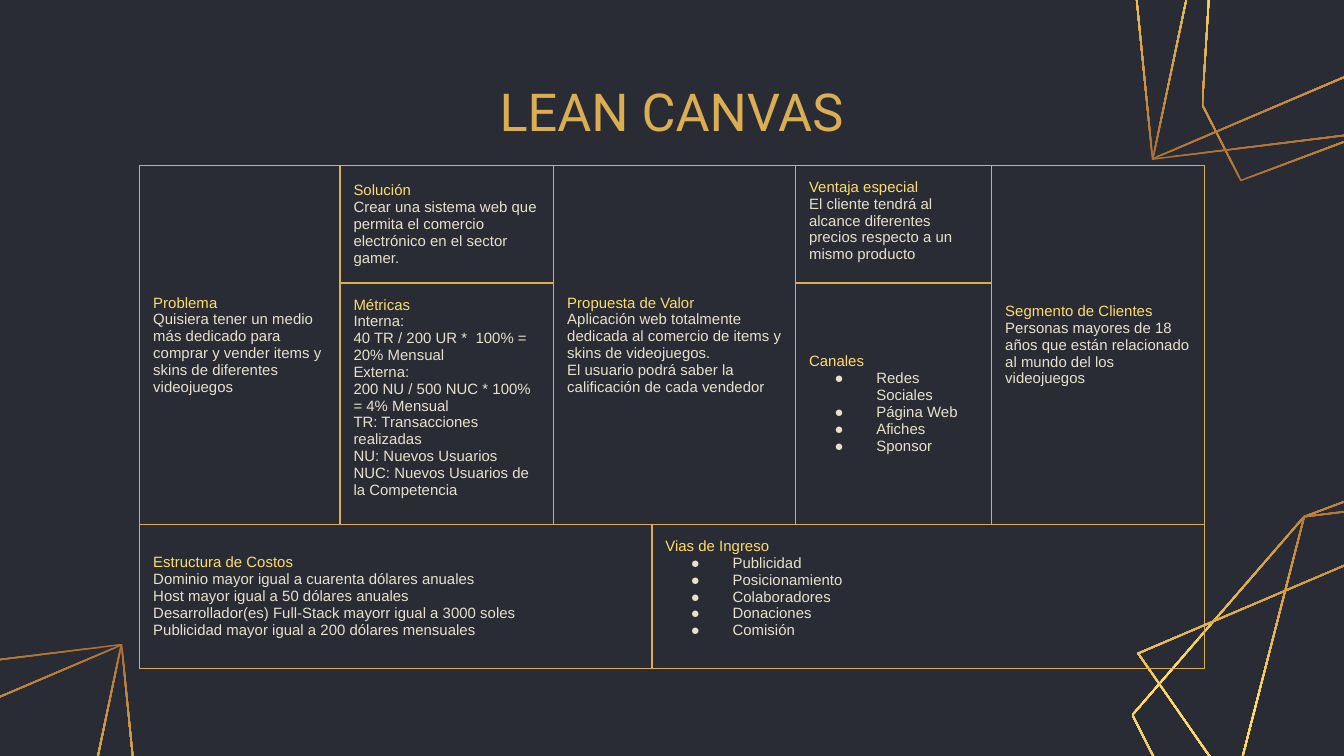
import math

import lxml.etree
import pptx
import pptx.dml.color
import pptx.enum.text
import pptx.oxml.ns
import pptx.util

Pt = pptx.util.Pt
RGBColor = pptx.dml.color.RGBColor
qn = pptx.oxml.ns.qn
MIDDLE = pptx.enum.text.MSO_ANCHOR.MIDDLE
TOP = pptx.enum.text.MSO_ANCHOR.TOP

NIGHT = RGBColor(0x29, 0x2C, 0x35)
BRONZE = RGBColor(0xAF, 0x71, 0x32)
YELLOW = RGBColor(0xFF, 0xDD, 0x6B)
GOLD = RGBColor(0xDC, 0xAE, 0x52)
CREAM = RGBColor(0xE9, 0xE2, 0xC9)

LINE_WIDTH = 0.8
HEXAGON = [(649.4, 468), (606.2, 383), (698.4, 276.5),
           (767.5, 250.6), (788.4, 291.6), (779.8, 429.8)]
PENTAGON = [(712.1, 497.5), (649.4, 467.3), (698.4, 276.5),
            (815, 262.1), (779.8, 429.8)]
QUADRILATERAL = [(712.1, 498.2), (609.1, 349.9), (815, 262.1), (824.4, 356.4)]

COLUMN_WIDTHS = [107.3, 114.5, 52.6, 77, 105.1, 113.8]
ROW_HEIGHTS = [63, 122, 77]

# row, column, last row, last column, anchor, bulleted, heading, lines
CELLS = [
    (0, 0, 1, 0, MIDDLE, False, "Problema", [
        "Quisiera tener un medio más dedicado para comprar y vender items y "
        "skins de diferentes videojuegos"]),
    (0, 1, 0, 1, MIDDLE, False, "Solución", [
        "Crear una sistema web que permita el comercio electrónico en el "
        "sector gamer."]),
    (0, 2, 1, 3, MIDDLE, False, "Propuesta de Valor", [
        "Aplicación web totalmente dedicada al comercio de items y skins de "
        "videojuegos.",
        "El usuario podrá saber la calificación de cada vendedor"]),
    (0, 4, 0, 4, TOP, False, "Ventaja especial", [
        "El cliente tendrá al alcance diferentes precios respecto a un mismo "
        "producto"]),
    (0, 5, 1, 5, MIDDLE, False, "Segmento de Clientes", [
        "Personas mayores de 18 años que están relacionado al mundo del los "
        "videojuegos"]),
    (1, 1, 1, 1, TOP, False, "Métricas", [
        "Interna:",
        "40 TR / 200 UR *  100% = 20% Mensual",
        "Externa:",
        "200 NU / 500 NUC * 100% = 4% Mensual",
        "TR: Transacciones realizadas",
        "NU: Nuevos Usuarios",
        "NUC: Nuevos Usuarios de la Competencia"]),
    (1, 4, 1, 4, MIDDLE, True, "Canales", [
        "Redes Sociales", "Página Web", "Afiches", "Sponsor"]),
    (2, 0, 2, 2, MIDDLE, False, "Estructura de Costos", [
        "Dominio mayor igual a cuarenta dólares anuales",
        "Host mayor igual a 50 dólares anuales",
        "Desarrollador(es) Full-Stack mayorr igual a 3000 soles",
        "Publicidad mayor igual a 200 dólares mensuales"]),
    (2, 3, 2, 5, TOP, True, "Vias de Ingreso", [
        "Publicidad", "Posicionamiento", "Colaboradores", "Donaciones",
        "Comisión"]),
]


def inset(points, width):
    normals = []
    for (x, y), (next_x, next_y) in zip(points, points[1:] + points[:1]):
        length = math.hypot(next_x - x, next_y - y)
        normals.append(((y - next_y) / length, (next_x - x) / length))
    inner = []
    for index, (x, y) in enumerate(points):
        (ax, ay), (bx, by) = normals[index - 1], normals[index]
        factor = width / (1 + ax * bx + ay * by)
        inner.append((x + (ax + bx) * factor, y + (ay + by) * factor))
    return inner


def add_outline(page, points, angle):
    outer = [(Pt(x), Pt(y)) for x, y in points]
    inner = [(Pt(x), Pt(y)) for x, y in reversed(inset(points, LINE_WIDTH))]
    builder = page.shapes.build_freeform(*outer[0])
    builder.add_line_segments(outer[1:], close=True)
    builder.move_to(*inner[0])
    builder.add_line_segments(inner[1:], close=True)
    shape = builder.convert_to_shape()
    shape.shadow.inherit = False
    shape.line.fill.background()
    shape.fill.gradient()
    shape.fill.gradient_angle = angle
    stops = shape.element.spPr.find(".//" + qn("a:gsLst"))
    for stop in list(stops):
        stops.remove(stop)
    for position, color in ((0, BRONZE), (50000, YELLOW), (100000, GOLD)):
        stop = lxml.etree.SubElement(stops, qn("a:gs"), pos=str(position))
        lxml.etree.SubElement(stop, qn("a:srgbClr"), val=str(color))


def add_decoration(page):
    for points in (HEXAGON, PENTAGON, QUADRILATERAL):
        add_outline(page, points, 270)
        add_outline(page, [(1432.1 - x, 347.8 - y) for x, y in points], 90)
    for points in (PENTAGON, QUADRILATERAL):
        add_outline(page, [(x - 749.5, y + 82.8) for x, y in points], 270)


def style_runs(para, font_name, size, color):
    for span in para.runs:
        span.font.name = font_name
        span.font.size = Pt(size)
        span.font.color.rgb = color


def add_title(page, text):
    box = page.shapes.add_textbox(Pt(157), Pt(42.5), Pt(405.4), Pt(33.8))
    frame = box.text_frame
    frame.word_wrap = True
    frame.vertical_anchor = MIDDLE
    frame.text = text
    para = frame.paragraphs[0]
    para.alignment = pptx.enum.text.PP_ALIGN.CENTER
    style_runs(para, "Roboto", 28, GOLD)


def add_bullet(para):
    properties = para._p.get_or_add_pPr()
    properties.set("marL", str(Pt(36)))
    properties.set("indent", str(Pt(-22.3)))
    color = lxml.etree.SubElement(properties, qn("a:buClr"))
    lxml.etree.SubElement(color, qn("a:srgbClr"), val=str(CREAM))
    lxml.etree.SubElement(properties, qn("a:buFont"), typeface="Arial")
    lxml.etree.SubElement(properties, qn("a:buChar"), char="●")


def style_cell(cell):
    properties = cell._tc.get_or_add_tcPr()
    for side in ("a:lnL", "a:lnR", "a:lnT", "a:lnB"):
        border = lxml.etree.SubElement(properties, qn(side), w=str(Pt(0.75)))
        fill = lxml.etree.SubElement(border, qn("a:solidFill"))
        lxml.etree.SubElement(fill, qn("a:srgbClr"), val=str(GOLD))
    cell.fill.background()
    cell.margin_left = cell.margin_right = Pt(7.2)
    cell.margin_top = cell.margin_bottom = Pt(7.2)


def fill_cell(cell, anchor, bulleted, heading, lines):
    cell.vertical_anchor = anchor
    cell.text_frame.text = "\n".join([heading] + lines)
    for index, para in enumerate(cell.text_frame.paragraphs):
        if bulleted and index > 0:
            add_bullet(para)
        style_runs(para, "Arial", 8, CREAM if index else YELLOW)


def add_canvas(page):
    frame = page.shapes.add_table(
        len(ROW_HEIGHTS), len(COLUMN_WIDTHS), Pt(74.9), Pt(88.6),
        Pt(sum(COLUMN_WIDTHS)), Pt(sum(ROW_HEIGHTS)))
    table = frame.table
    table.first_row = False
    table.horz_banding = False
    for column, width in zip(table.columns, COLUMN_WIDTHS):
        column.width = Pt(width)
    for row, height in zip(table.rows, ROW_HEIGHTS):
        row.height = Pt(height)
    for cell in table.iter_cells():
        style_cell(cell)
    for row, column, last_row, last_column, *content in CELLS:
        cell = table.cell(row, column)
        if (row, column) != (last_row, last_column):
            cell.merge(table.cell(last_row, last_column))
        fill_cell(cell, *content)


def main():
    deck = pptx.Presentation()
    deck.slide_width = Pt(720)
    deck.slide_height = Pt(405)
    page = deck.slides.add_slide(deck.slide_layouts[6])
    page.background.fill.solid()
    page.background.fill.fore_color.rgb = NIGHT
    add_decoration(page)
    add_title(page, "LEAN CANVAS")
    add_canvas(page)
    deck.save("out.pptx")


if __name__ == "__main__":
    main()
